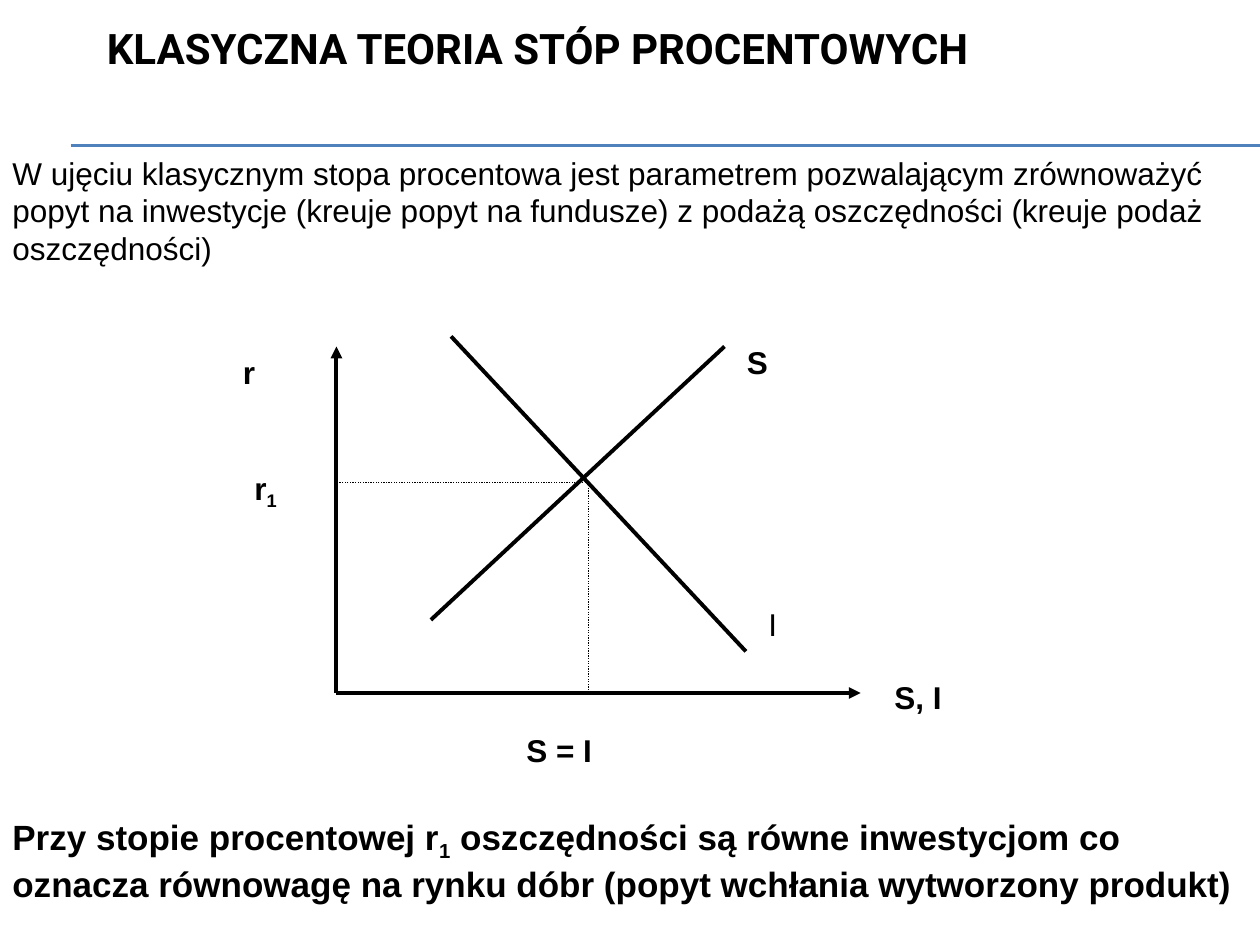
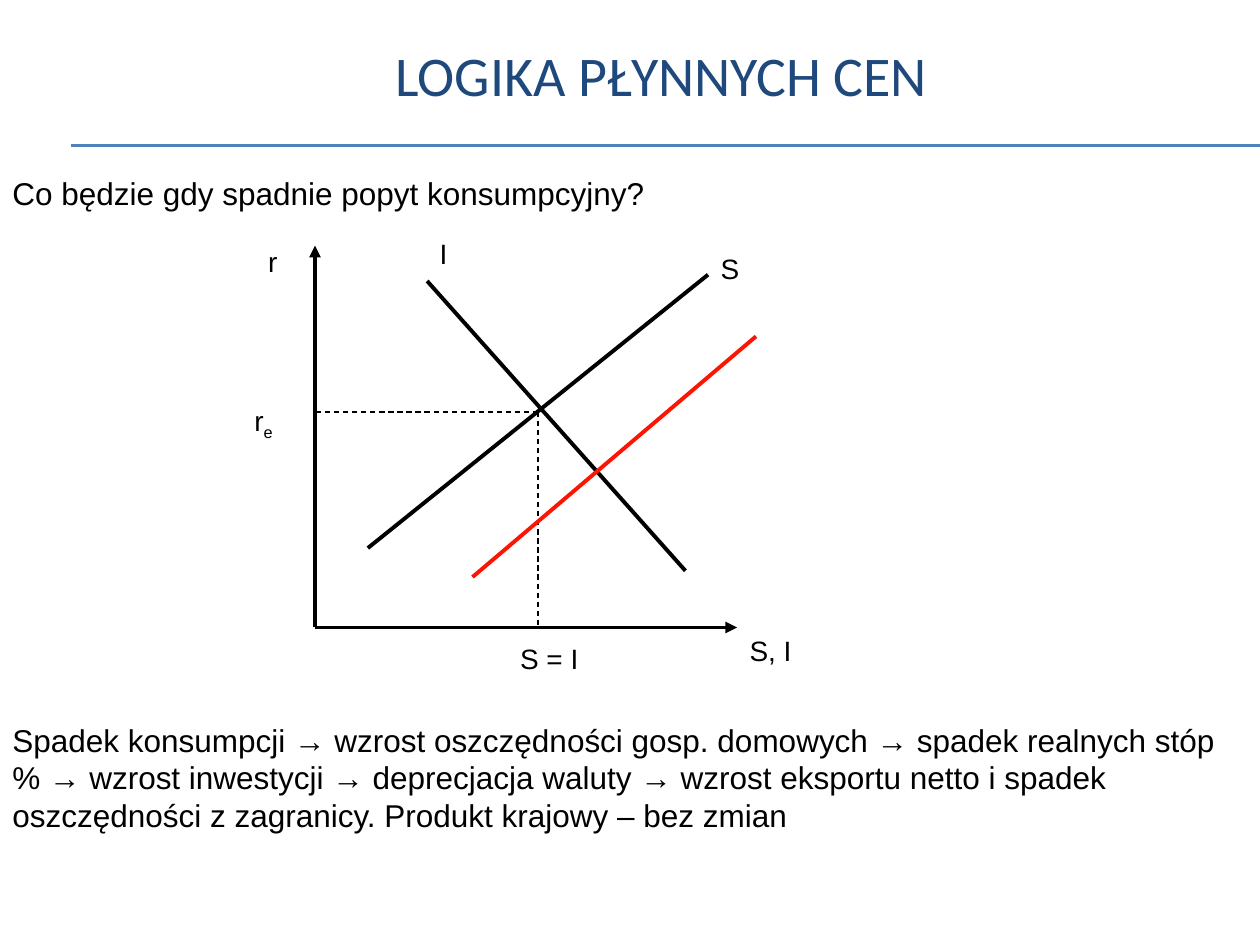
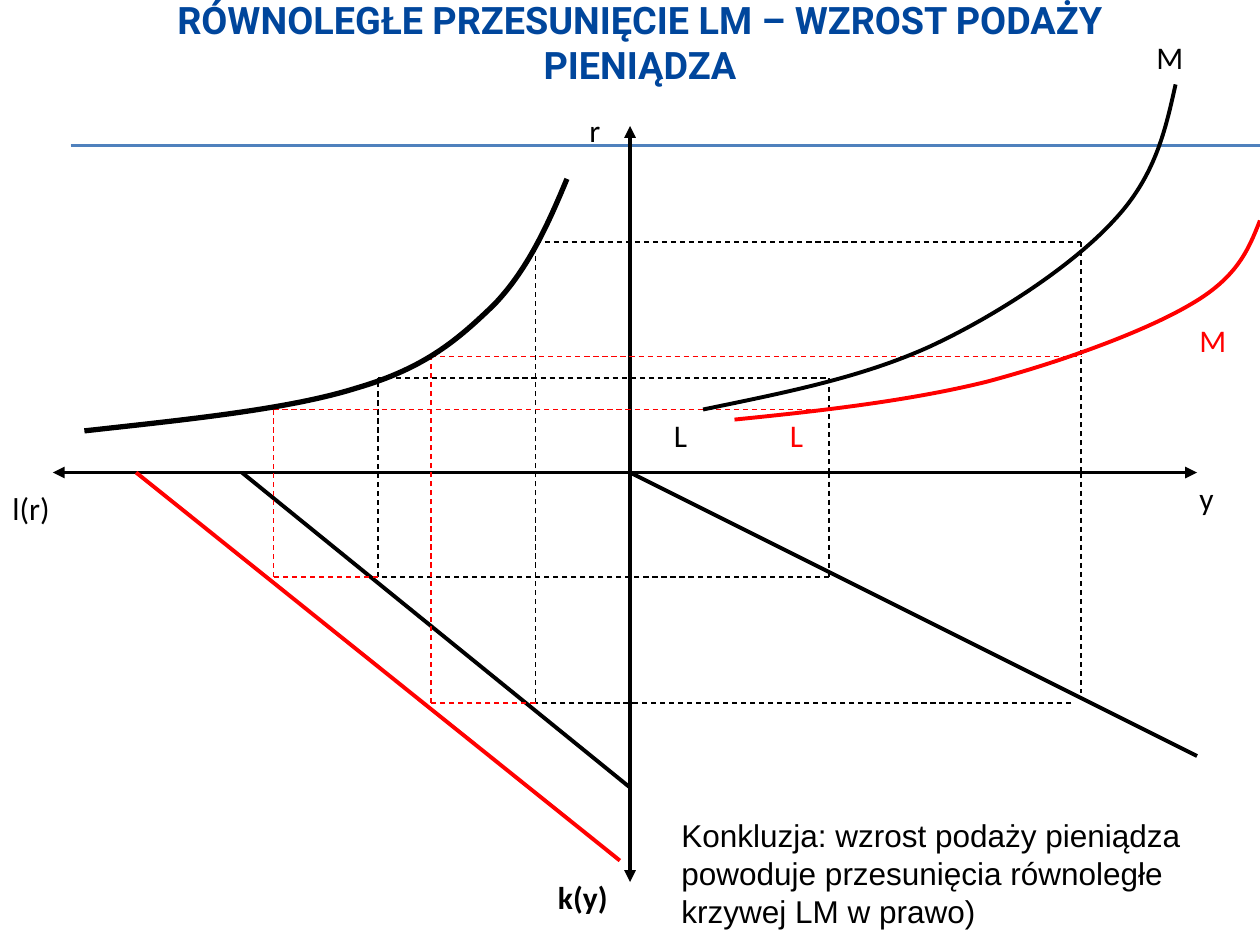
"""Three slides on interest rates, saving and the LM curve."""
from lxml import etree
from pptx import Presentation
from pptx.dml.color import RGBColor
from pptx.enum.dml import MSO_LINE
from pptx.enum.shapes import MSO_CONNECTOR
from pptx.enum.text import MSO_ANCHOR, PP_ALIGN
from pptx.oxml.ns import qn
from pptx.util import Inches, Pt

STRAIGHT = MSO_CONNECTOR.STRAIGHT
DASH, DOT = MSO_LINE.DASH, MSO_LINE.ROUND_DOT
TOP, MIDDLE = MSO_ANCHOR.TOP, MSO_ANCHOR.MIDDLE
LEFT, CENTER = PP_ALIGN.LEFT, PP_ALIGN.CENTER

BLACK = RGBColor(0, 0, 0)
RED = RGBColor(0xFF, 0, 0)
SHIFT_RED = RGBColor(0xFD, 0x15, 0x03)
RULE_BLUE = RGBColor(0x4F, 0x81, 0xBD)
NAVY = RGBColor(0x1F, 0x49, 0x7D)
TITLE_BLUE = RGBColor(0, 0x46, 0x9C)


def add_line(s, ends, color=BLACK, width=2.25, dash=None, arrows=()):
    """Draw a straight line from (x1, y1) to (x2, y2) in inches."""
    line = s.shapes.add_connector(STRAIGHT, *[Inches(v) for v in ends])
    line.line.color.rgb = color
    line.line.width = Pt(width)
    if dash:
        line.line.dash_style = dash
    ln = line.line._get_or_add_ln()
    for end in arrows:
        etree.SubElement(ln, qn("a:" + end), type="triangle")
    etree.SubElement(line._element.spPr, qn("a:effectLst"))


def add_text(s, box, runs, size=18, font="Arial", color=BLACK, bold=False,
             align=LEFT, anchor=TOP):
    """Add a text box; every second run is a subscript."""
    sp = s.shapes.add_textbox(*[Inches(v) for v in box])
    tf = sp.text_frame
    tf.word_wrap = True
    tf.vertical_anchor = anchor
    p = tf.paragraphs[0]
    p.alignment = align
    p.font.size, p.font.name, p.font.bold = Pt(size), font, bold
    p.font.color.rgb = color
    for i, text in enumerate(runs):
        r = p.add_run()
        r.text = text
        r.font.size, r.font.name, r.font.bold = Pt(size), font, bold
        r.font.color.rgb = color
        if i % 2:
            r._r.get_or_add_rPr().set("baseline", "-25000")


prs = Presentation()
prs.slide_width, prs.slide_height = Inches(10), Inches(7.5)

titles = [
    ("KLASYCZNA TEORIA STÓP PROCENTOWYCH", (0.75, 0, 8.5, 0.75), 24, "Roboto", BLACK, True, LEFT),
    ("LOGIKA PŁYNNYCH CEN", (1, 0.25, 8.5, 0.67), 32, "Calibri", NAVY, False, CENTER),
    ("RÓWNOLEGŁE PRZESUNIĘCIE LM – WZROST PODAŻY PIENIĄDZA", (0.83, 0, 8.5, 0.67),
     21.6, "Roboto", TITLE_BLUE, True, CENTER),
]
for title, box, size, font, color, bold, align in titles:
    s = prs.slides.add_slide(prs.slide_layouts[6])
    for y in (1.15, 1.16):
        add_line(s, (0.56, y, 10, y), RULE_BLUE, 0.75)
    add_text(s, box, [title], size, font, color, bold, align, MIDDLE)
classical, flexible, lm_shift = prs.slides

s = classical
add_text(s, (0, 1.17, 10, 1.3), [
    "W ujęciu klasycznym stopa procentowa jest parametrem pozwalającym zrównoważyć popyt na "
    "inwestycje (kreuje popyt na fundusze) z podażą oszczędności (kreuje podaż oszczędności)"])
for axis in [(2.67, 5.5, 2.67, 2.75), (2.67, 5.5, 6.83, 5.5)]:
    add_line(s, axis, arrows=["tailEnd"])
for curve in [(3.42, 4.92, 5.75, 2.75), (3.58, 2.67, 5.92, 5.17)]:
    add_line(s, curve)
for guide in [(4.67, 3.83, 4.67, 5.5), (4.67, 3.83, 2.67, 3.83)]:
    add_line(s, guide, width=0.75, dash=DOT)
for x, y, w, runs, bold in [
    (1.83, 2.75, 0.5, ["r"], True),
    (7, 5.33, 0.92, ["S, I"], True),
    (5.83, 2.67, 0.5, ["S"], True),
    (6, 4.75, 0.58, ["I"], False),
    (4.08, 5.75, 1.17, ["S = I"], True),
    (1.92, 3.67, 0.58, ["r", "1"], True),
]:
    add_text(s, (x, y, w, 0.5), runs, bold=bold)
add_text(s, (0, 6.42, 10, 0.77), [
    "Przy stopie procentowej r", "1",
    " oszczędności są równe inwestycjom co oznacza równowagę na rynku dóbr "
    "(popyt wchłania wytworzony produkt)"], 20, bold=True)

s = flexible
add_text(s, (0, 1.33, 10, 0.4), ["Co będzie gdy spadnie popyt konsumpcyjny?"])
for axis in [(2.5, 4.98, 2.5, 1.95), (2.5, 4.98, 5.85, 4.98)]:
    add_line(s, axis, arrows=["tailEnd"])
for curve in [(2.92, 4.35, 5.62, 2.18), (3.39, 2.23, 5.44, 4.53)]:
    add_line(s, curve)
for guide in [(4.27, 3.27, 2.5, 3.27), (4.27, 3.27, 4.27, 4.98)]:
    add_line(s, guide, width=0.75, dash=DASH)
for x, y, w, runs in [
    (2.03, 1.89, 0.35, ["r"]),
    (5.85, 4.98, 0.65, ["S, I"]),
    (3.39, 1.83, 0.35, ["I"]),
    (5.62, 1.95, 0.41, ["S"]),
    (1.92, 3.15, 0.47, ["r", "e"]),
    (4.03, 5.04, 0.71, ["S = I"]),
]:
    add_text(s, (x, y, w, 0.37), runs, 16)
add_line(s, (3.75, 4.58, 6, 2.67), SHIFT_RED)
add_text(s, (0, 5.67, 10, 1), [
    "Spadek konsumpcji → wzrost oszczędności gosp. domowych → spadek realnych stóp % → wzrost "
    "inwestycji → deprecjacja waluty → wzrost eksportu netto i spadek oszczędności z zagranicy. "
    "Produkt krajowy – bez zmian"])

s = lm_shift
for axis in [(5, 1, 5, 7), (0.42, 3.75, 9.5, 3.75)]:
    add_line(s, axis, arrows=["headEnd", "tailEnd"])
for ends, color in [
    ((5, 3.75, 9.5, 6), BLACK),
    ((5, 6.25, 1.92, 3.75), BLACK),
    ((4.92, 6.83, 1.08, 3.75), RED),
]:
    add_line(s, ends, color)
for ends, color in [
    ((3, 4.58, 3, 3), BLACK),
    ((3, 3, 6.58, 3), BLACK),
    ((6.58, 3, 6.58, 3.75), BLACK),
    ((6.58, 3.75, 6.58, 4.58), BLACK),
    ((6.58, 4.58, 3, 4.58), BLACK),
    ((4.25, 5.58, 4.25, 1.92), BLACK),
    ((4.25, 1.92, 8.58, 1.92), BLACK),
    ((8.58, 3.75, 8.58, 1.92), BLACK),
    ((8.58, 3.75, 8.58, 5.5), BLACK),
    ((8.5, 5.58, 4.25, 5.58), BLACK),
    ((4.25, 5.58, 3.42, 5.58), RED),
    ((3.42, 5.58, 3.42, 2.83), RED),
    ((3.42, 2.83, 8.58, 2.83), RED),
    ((3, 4.58, 2.17, 4.58), RED),
    ((2.17, 4.58, 2.17, 3.25), RED),
    ((2.17, 3.25, 6.58, 3.25), RED),
]:
    add_line(s, ends, color, 0.75, DASH)

bezier_curves = [
    ([(4.5, 1.42), (4.35, 1.78), (4.19, 2.14), (3.92, 2.42), (3.64, 2.69), (3.38, 2.92),
      (2.83, 3.08), (2.29, 3.25), (1.48, 3.33), (0.67, 3.42)], BLACK, 3),
    ([(9.33, 0.67), (9.25, 1.03), (9.17, 1.4), (8.84, 1.75), (8.52, 2.1), (7.92, 2.5),
      (7.38, 2.75), (6.83, 3), (6.21, 3.12), (5.58, 3.25)], BLACK, 2.25),
    ([(10, 1.75), (9.91, 1.98), (9.82, 2.2), (9.46, 2.41), (9.09, 2.63), (8.43, 2.87),
      (7.83, 3.03), (7.22, 3.18), (6.53, 3.26), (5.83, 3.33)], RED, 2.25),
]
for points, color, width in bezier_curves:
    start, *rest = [(Inches(x), Inches(y)) for x, y in points]
    builder = s.shapes.build_freeform(*start)
    builder.add_line_segments(rest, close=False)
    sp = builder.convert_to_shape()
    sp.shadow.inherit = False
    sp.fill.background()
    sp.line.color.rgb = color
    sp.line.width = Pt(width)
    outline = next(sp._element.iter(qn("a:path")))
    segments = outline.findall(qn("a:lnTo"))
    for i in range(0, len(segments), 3):
        bezier = etree.SubElement(outline, qn("a:cubicBezTo"))
        for segment in segments[i:i + 3]:
            bezier.append(segment[0])
            outline.remove(segment)

for x, y, w, text, color, bold in [
    (4.33, 6.92, 1.42, "k(y)", BLACK, True),
    (0, 3.83, 0.75, "l(r)", BLACK, False),
    (9.42, 3.75, 0.58, "y", BLACK, False),
    (4.58, 0.83, 0.42, "r", BLACK, False),
    (5.25, 3.25, 0.58, "L", BLACK, False),
    (9.08, 0.25, 0.67, "M", BLACK, False),
    (6.17, 3.25, 0.42, "L", RED, False),
    (9.42, 2.5, 0.58, "M", RED, False),
]:
    add_text(s, (x, y, w, 0.5), [text], 18, "Calibri", color, bold)
add_text(s, (5.31, 6.43, 4.69, 1.01), [
    "Konkluzja: wzrost podaży pieniądza powoduje przesunięcia równoległe krzywej LM w prawo)"])

prs.save("out.pptx")
